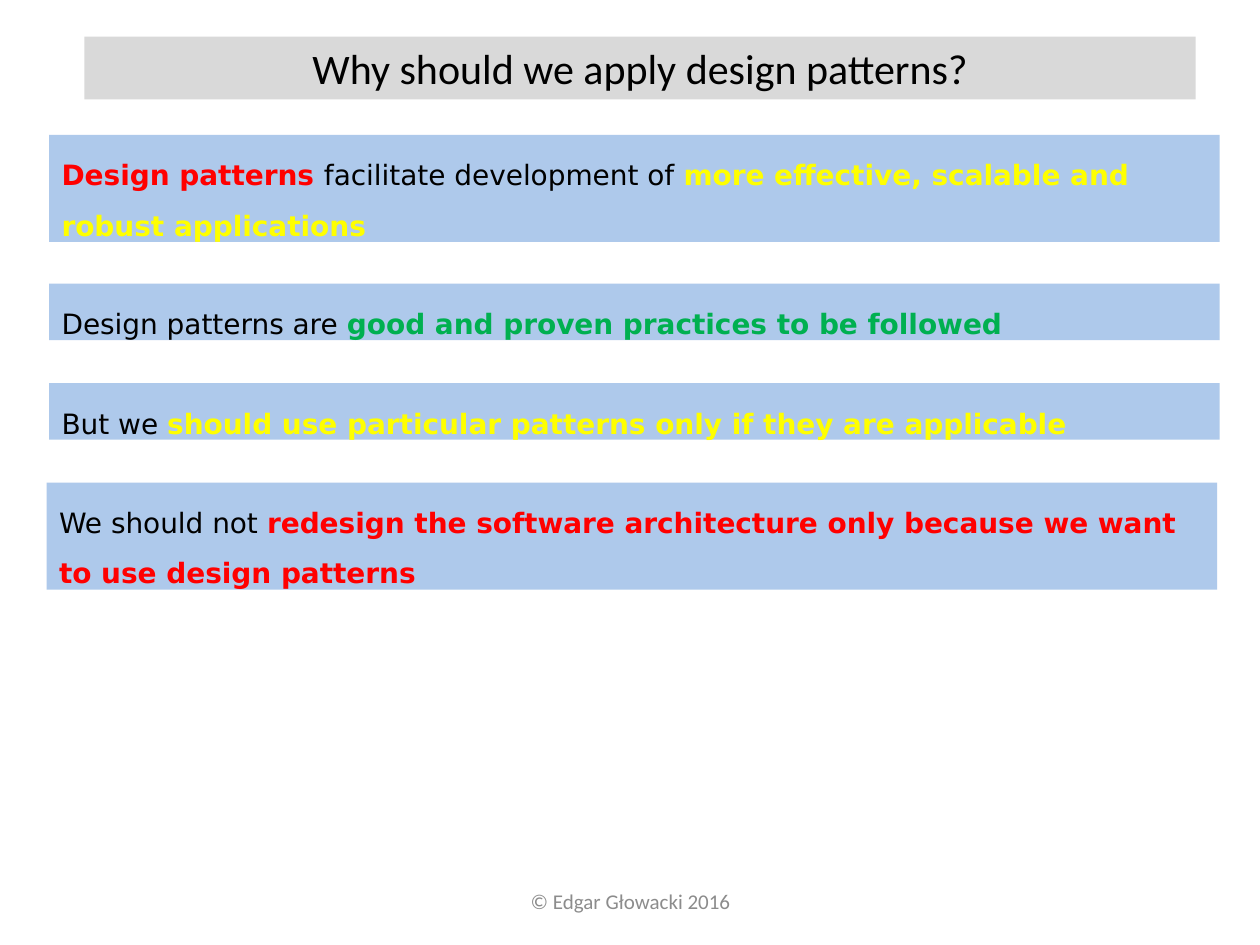
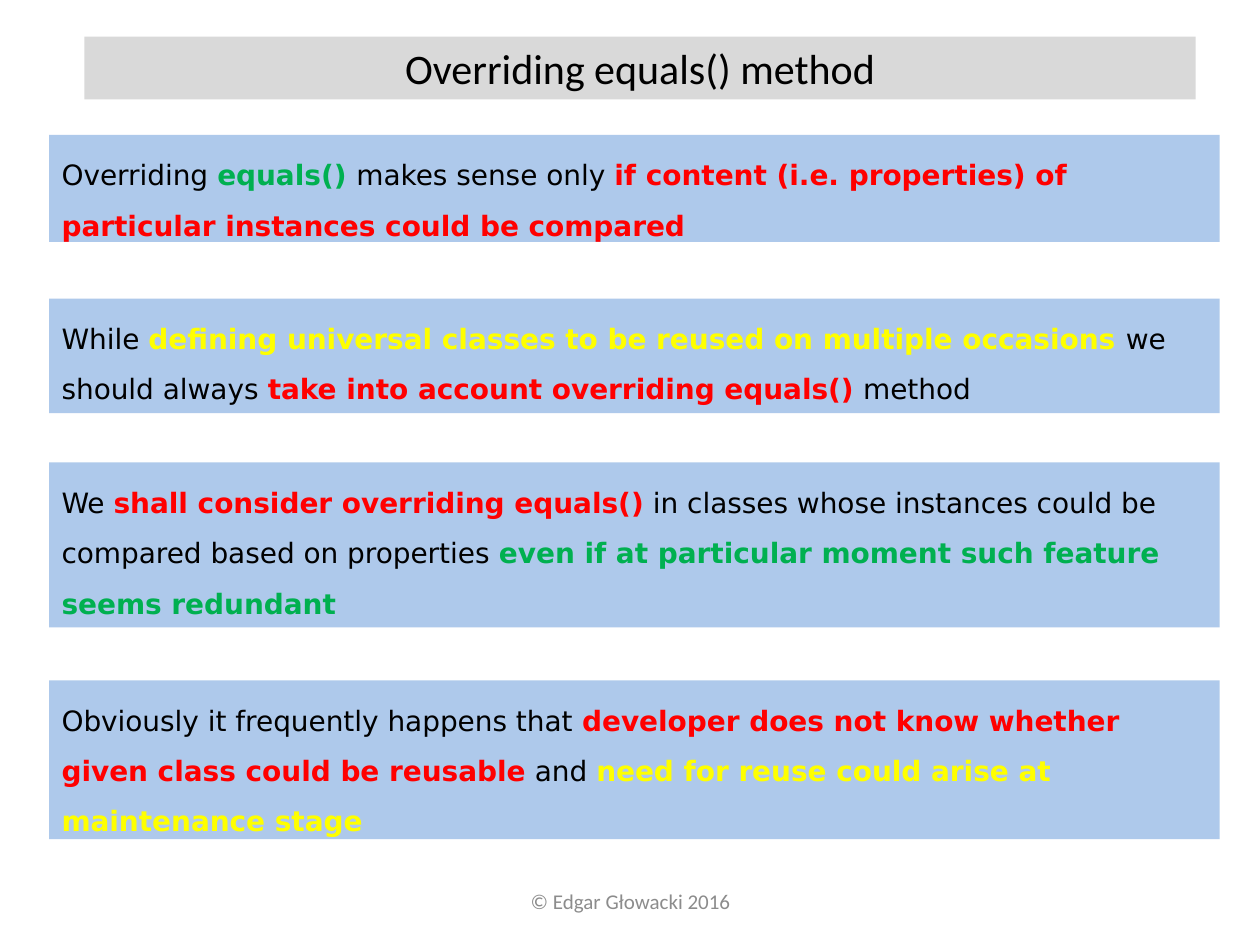
"""Build two slides of highlighted statements on design patterns and equals()."""
from lxml import etree
from pptx import Presentation
from pptx.dml.color import RGBColor
from pptx.enum.shapes import MSO_SHAPE
from pptx.enum.text import MSO_ANCHOR, MSO_AUTO_SIZE, PP_ALIGN
from pptx.oxml.ns import qn
from pptx.util import Inches, Pt

RECT = MSO_SHAPE.RECTANGLE
TOP, MIDDLE = MSO_ANCHOR.TOP, MSO_ANCHOR.MIDDLE
LEFT, CENTER = PP_ALIGN.LEFT, PP_ALIGN.CENTER
GROW = MSO_AUTO_SIZE.SHAPE_TO_FIT_TEXT

COLORS = {
    "ink": "000000",
    "red": "FF0000",
    "yellow": "FFFF00",
    "green": "00B050",
    "band": "D9D9D9",
    "panel": "8EB4E3",
    "footer": "8C8C8C",
}
PANEL_ALPHA = 71
HEADING_FONT, BODY_FONT = "Calibri", "DejaVu Sans"
FOOTER = "© Edgar Głowacki 2016"
PANEL_LEFT, PANEL_WIDTH = 0.39, 9.29

SLIDES = [
    ("Why should we apply design patterns?", [
        (PANEL_LEFT, 1.07, 0.85, [
            ("Design patterns ", "red"),
            ("facilitate development of ", "ink"),
            ("more effective, scalable and robust applications", "yellow")]),
        (PANEL_LEFT, 2.25, 0.45, [
            ("Design patterns are ", "ink"),
            ("good and proven practices to be followed", "green")]),
        (PANEL_LEFT, 3.04, 0.45, [
            ("But we ", "ink"),
            ("should use particular patterns only if they are applicable", "yellow")]),
        (0.37, 3.83, 0.85, [
            ("We should not ", "ink"),
            ("redesign the software architecture only because we want "
             "to use design patterns", "red")]),
    ]),
    ("Overriding equals() method", [
        (PANEL_LEFT, 1.07, 0.85, [
            ("Overriding ", "ink"),
            ("equals() ", "green"),
            ("makes sense only ", "ink"),
            ("if content (i.e. properties) of particular instances "
             "could be compared", "red")]),
        (PANEL_LEFT, 2.37, 0.91, [
            ("While ", "ink"),
            ("defining universal classes to be reused on multiple occasions ", "yellow"),
            ("we should always ", "ink"),
            ("take into account overriding equals()", "red"),
            (" method", "ink")]),
        (PANEL_LEFT, 3.67, 1.31, [
            ("We ", "ink"),
            ("shall consider overriding equals()", "red"),
            (" in classes whose instances could be compared based on properties ", "ink"),
            ("even if at particular moment such feature seems redundant", "green")]),
        (PANEL_LEFT, 5.4, 1.26, [
            ("Obviously it frequently happens that ", "ink"),
            ("developer does not know whether given class could be reusable", "red"),
            (" and ", "ink"),
            ("need for reuse could arise at maintenance stage", "yellow")]),
    ]),
]


def rgb(name):
    """Return the named colour."""
    return RGBColor.from_string(COLORS[name])


def put_text(sp, runs, font=HEADING_FONT, size=16, align=LEFT, anchor=TOP, spacing=None):
    """Write (text, colour) runs into a shape, with highlight colours in bold."""
    tf = sp.text_frame
    tf.word_wrap = True
    tf.vertical_anchor = anchor
    p = tf.paragraphs[0]
    p.alignment = align
    if spacing:
        p.line_spacing = spacing
    for text, color in runs:
        r = p.add_run()
        r.text = text
        r.font.name = font
        r.font.size = Pt(size)
        r.font.bold = color in ("red", "yellow", "green")
        r.font.color.rgb = rgb(color)


class Deck:
    """Hold the presentation, its shared style and the current slide."""

    def __init__(self):
        """Start an empty 10 by 7.5 inch presentation."""
        self.prs = Presentation()
        self.prs.slide_width, self.prs.slide_height = Inches(10), Inches(7.5)
        self.s = None

    def slide(self, title):
        """Add a slide with the shared footer and title band."""
        self.s = self.prs.slides.add_slide(self.prs.slide_layouts[6])
        self.footer()
        self.title(title)

    def footer(self):
        """Add the centred copyright line."""
        sp = self.s.shapes.add_textbox(Inches(3.42), Inches(6.95), Inches(3.17), Inches(0.4))
        put_text(sp, [(FOOTER, "footer")], size=12, align=CENTER, anchor=MIDDLE)

    def rect(self, x, y, w, h, fill):
        """Add a plain filled rectangle that grows with its text."""
        sp = self.s.shapes.add_shape(RECT, Inches(x), Inches(y), Inches(w), Inches(h))
        sp.shadow.inherit = False
        sp.fill.solid()
        sp.fill.fore_color.rgb = rgb(fill)
        sp.line.fill.background()
        sp.text_frame.auto_size = GROW
        return sp

    def title(self, text):
        """Add the grey title band."""
        sp = self.rect(0.67, 0.29, 8.82, 0.5, "band")
        put_text(sp, [(text, "ink")], size=24, align=CENTER)

    def panel(self, x, y, h, runs):
        """Add a translucent blue statement panel."""
        sp = self.rect(x, y, PANEL_WIDTH, h, "panel")
        clr = sp.fill._xPr.find(qn("a:solidFill")).find(qn("a:srgbClr"))
        etree.SubElement(clr, qn("a:alpha"), val=str(PANEL_ALPHA * 1000))
        put_text(sp, runs, font=BODY_FONT, spacing=1.5)


def main():
    """Build and save the slides."""
    deck = Deck()
    for title, panels in SLIDES:
        deck.slide(title)
        for panel in panels:
            deck.panel(*panel)
    deck.prs.save("out.pptx")


if __name__ == "__main__":
    main()
